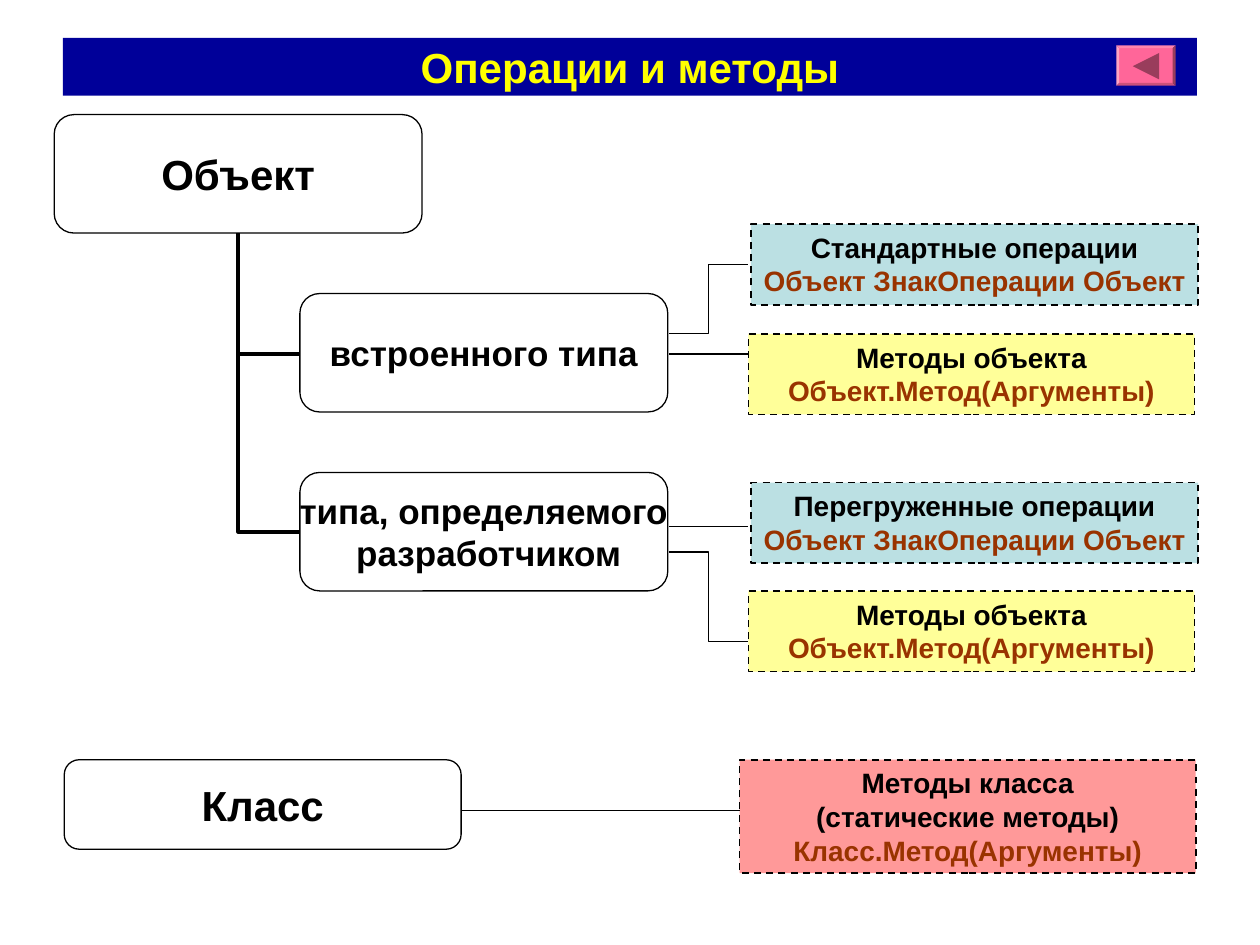
from dataclasses import dataclass

from lxml import etree
from pptx import Presentation
from pptx.dml.color import RGBColor
from pptx.enum.dml import MSO_LINE
from pptx.enum.shapes import MSO_CONNECTOR, MSO_SHAPE
from pptx.enum.text import MSO_ANCHOR, PP_ALIGN
from pptx.oxml.ns import qn
from pptx.util import Inches, Pt

RECTANGLE = MSO_SHAPE.RECTANGLE
ROUNDED = MSO_SHAPE.ROUNDED_RECTANGLE
BEVEL = MSO_SHAPE.BEVEL
TRIANGLE = MSO_SHAPE.ISOSCELES_TRIANGLE
STRAIGHT = MSO_CONNECTOR.STRAIGHT
ELBOW = MSO_CONNECTOR.ELBOW
DASH = MSO_LINE.DASH
MIDDLE = MSO_ANCHOR.MIDDLE
TOP = MSO_ANCHOR.TOP
CENTER = PP_ALIGN.CENTER

BLACK = RGBColor(0x00, 0x00, 0x00)
NAVY = RGBColor(0x00, 0x00, 0x99)
YELLOW = RGBColor(0xFF, 0xFF, 0x00)
BROWN = RGBColor(0x99, 0x33, 0x00)
PALE_BLUE = RGBColor(0xBB, 0xE0, 0xE3)
PALE_YELLOW = RGBColor(0xFF, 0xFF, 0x99)
SALMON = RGBColor(0xFF, 0x99, 0x99)
PINK = RGBColor(0xFF, 0x66, 0x99)
PLUM = RGBColor(0x99, 0x3D, 0x5C)


@dataclass
class Node:
    left: float
    top: float
    width: float
    height: float
    lines: list[str]
    size: int


@dataclass
class Note:
    left: float
    top: float
    width: float
    height: float
    fill: RGBColor
    lines: list[str]  # the last line is the syntax
    wrap: bool = True


@dataclass
class Link:
    start: tuple[float, float]
    end: tuple[float, float]
    kind: int = STRAIGHT


# Object tree and class
NODE_WIDTH, NODE_HEIGHT = 2.92, 0.94
TRUNK = (1.89, 1.85)
BRANCH_LEFT = 2.38
BRANCH_MIDDLES = [4.22, 2.81]
NODES = [
    Node(0.43, 0.91, NODE_WIDTH, NODE_HEIGHT, ["Объект"], 24),
    Node(BRANCH_LEFT, 2.33, NODE_WIDTH, NODE_HEIGHT, ["встроенного типа"], 20),
    Node(BRANCH_LEFT, 3.75, NODE_WIDTH, NODE_HEIGHT,
         ["типа, определяемого", " разработчиком"], 20),
    Node(0.51, 6.03, 3.15, 0.71, ["Класс"], 24),
]

# Operations and methods
OPERATION = "Объект ЗнакОперации Объект"
METHODS = ["Методы объекта", "Объект.Метод(Аргументы)"]
NOTES = [
    Note(5.96, 1.78, 3.55, 0.64, PALE_BLUE, ["Стандартные операции", OPERATION], False),
    Note(5.94, 2.65, 3.54, 0.64, PALE_YELLOW, METHODS),
    Note(5.96, 3.83, 3.55, 0.64, PALE_BLUE, ["Перегруженные операции", OPERATION], False),
    Note(5.94, 4.69, 3.54, 0.64, PALE_YELLOW, METHODS),
    Note(5.87, 6.03, 3.62, 0.9, SALMON,
         ["Методы класса", "(статические методы)", "Класс.Метод(Аргументы)"]),
]
LINK_LEFT, LINK_RIGHT = 5.31, 5.94
LINKS = [
    Link((LINK_LEFT, 2.81), (LINK_RIGHT, 2.81)),
    Link((LINK_LEFT, 4.18), (LINK_RIGHT, 4.18)),
    Link((LINK_LEFT, 4.38), (LINK_RIGHT, 5.09), ELBOW),
    Link((LINK_LEFT, 2.65), (LINK_RIGHT, 2.1), ELBOW),
    Link((3.66, 6.43), (5.87, 6.43)),
]


def add_box(slide, kind: int, left: float, top: float, width: float, height: float,
            fill: RGBColor | None = None, line_width: float = 0):
    shape = slide.shapes.add_shape(
        kind, Inches(left), Inches(top), Inches(width), Inches(height))
    shape.shadow.inherit = False
    if fill is None:
        shape.fill.background()
    else:
        shape.fill.solid()
        shape.fill.fore_color.rgb = fill
    if line_width:
        shape.line.color.rgb = BLACK
        shape.line.width = Pt(line_width)
    else:
        shape.line.fill.background()
    return shape


def write_lines(shape, lines: list[str], size: int, colors: list[RGBColor],
                wrap: bool = True, anchor: int = MIDDLE) -> None:
    frame = shape.text_frame
    frame.word_wrap = wrap
    frame.vertical_anchor = anchor
    frame.text = "\n".join(lines)
    for paragraph, color in zip(frame.paragraphs, colors):
        paragraph.alignment = CENTER
        paragraph.font.name = "Arial"
        paragraph.font.size = Pt(size)
        paragraph.font.bold = True
        paragraph.font.color.rgb = color


def add_node(slide, node: Node) -> None:
    shape = add_box(slide, ROUNDED, node.left, node.top, node.width, node.height,
                    line_width=0.75)
    frame = shape.text_frame
    frame.margin_left = frame.margin_right = frame.margin_top = frame.margin_bottom = 0
    write_lines(shape, node.lines, node.size, [BLACK] * len(node.lines), wrap=False)


def add_note(slide, note: Note) -> None:
    shape = add_box(slide, RECTANGLE, note.left, note.top, note.width, note.height,
                    note.fill, 1)
    shape.line.dash_style = DASH
    colors = [BLACK] * (len(note.lines) - 1) + [BROWN]
    write_lines(shape, note.lines, 16, colors, note.wrap, TOP)


def add_link(slide, link: Link, width: float = 0.75):
    points = [Inches(value) for value in (*link.start, *link.end)]
    connector = slide.shapes.add_connector(link.kind, *points)
    connector.line.color.rgb = BLACK
    connector.line.width = Pt(width)
    etree.SubElement(connector._element.spPr, qn("a:effectLst"))
    return connector


def main() -> None:
    presentation = Presentation()
    presentation.slide_width = Inches(10)
    presentation.slide_height = Inches(7.5)
    slide = presentation.slides.add_slide(presentation.slide_layouts[6])

    # Title bar with a back button
    title = add_box(slide, RECTANGLE, 0.5, 0.3, 9, 0.46, NAVY)
    write_lines(title, ["Операции и методы"], 24, [YELLOW])
    button = add_box(slide, BEVEL, 8.86, 0.36, 0.47, 0.32, PINK)
    button.adjustments[0] = 0.07
    arrow = add_box(slide, TRIANGLE, 8.99, 0.42, 0.21, 0.21, PLUM)
    arrow.rotation = 270

    # Tree branches with a single bend
    for middle in BRANCH_MIDDLES:
        branch = add_link(slide, Link((BRANCH_LEFT, middle), TRUNK, ELBOW), 2.25)
        geometry = branch._element.spPr.find(qn("a:prstGeom"))
        geometry.set("prst", "bentConnector2")

    for node in NODES:
        add_node(slide, node)
    for note in NOTES:
        add_note(slide, note)
    for link in LINKS:
        add_link(slide, link)

    presentation.save("out.pptx")


if __name__ == "__main__":
    main()
